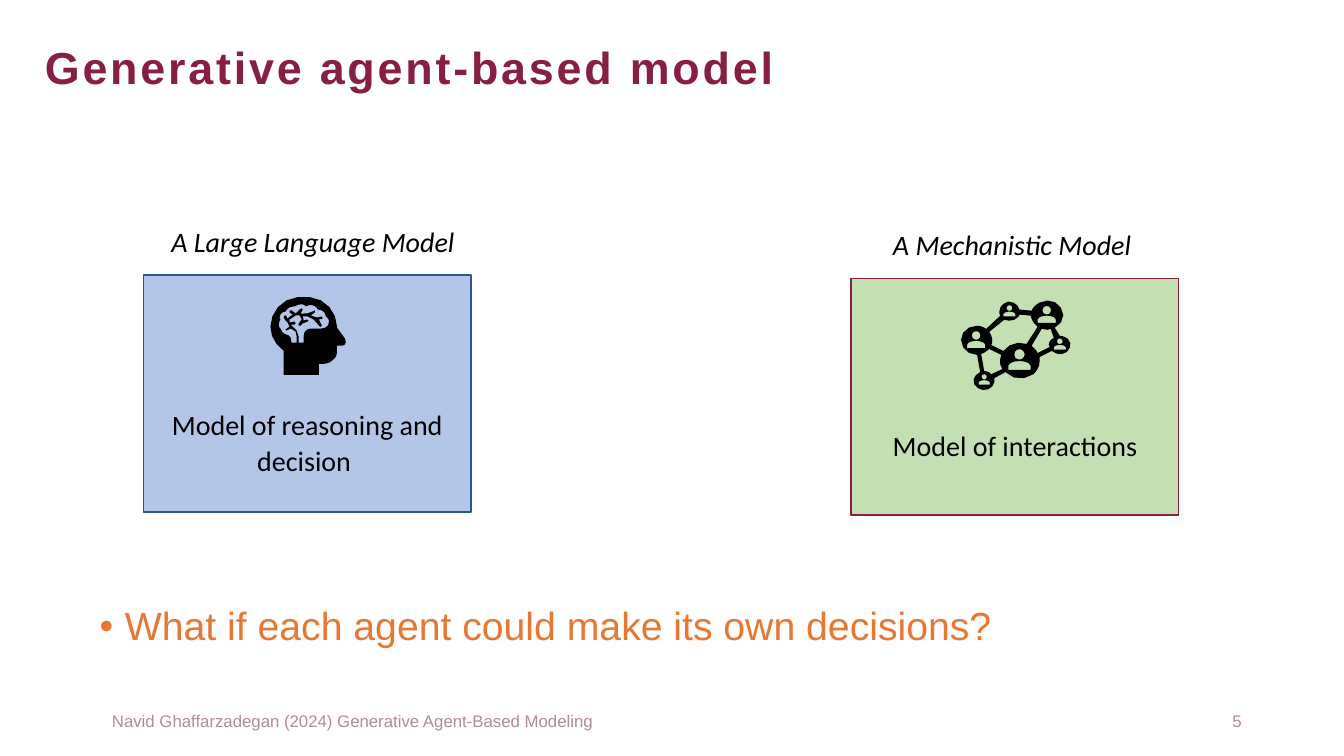
from lxml.etree import SubElement
from pptx import Presentation
from pptx.dml.color import RGBColor
from pptx.enum.shapes import MSO_SHAPE as Shape
from pptx.enum.text import MSO_ANCHOR as Anchor, PP_ALIGN as Align
from pptx.oxml.ns import qn
from pptx.util import Inches, Pt

MAROON, ROSE, ORANGE, BLACK = "861F41", "AF8D93", "E87731", "000000"
BLUE, GREEN, NAVY = "B3C6E7", "C4E0B2", "31538F"

# Boxes are left, top, width, height in percent of the slide.
TEXTS = [
    dict(words="Generative agent-based model", box=(2.6, 5.4, 96.3, 13.87),
         font=dict(size=32, bold=True, color=MAROON), spread=200, spacing=0.9),
    dict(words="Navid Ghaffarzadegan (2024) Generative Agent-Based Modeling",
         box=(6.9, 92.67, 38.7, 5.33), font=dict(size=12, color=ROSE),
         align=Align.CENTER, anchor=Anchor.MIDDLE),
    dict(words="5", box=(70.63, 92.67, 22.5, 5.33), font=dict(size=12, color=ROSE),
         align=Align.RIGHT, anchor=Anchor.MIDDLE),
    dict(words="What if each agent could make its own decisions?",
         box=(6.68, 79.6, 84.98, 15.73), font=dict(size=28, color=ORANGE),
         bullet="•", spacing=0.9),
]
PANEL_SIZE = (24.38, 31.33)
LABEL_RISE, LABEL_SIZE = 7.7, (27.75, 8.53)
PANELS = [
    dict(label="A Mechanistic Model ", label_left=61.67, words="Model of interactions",
         corner=(63.33, 36.83), fill=GREEN, edge=MAROON, icon="network", icon_offset=(1.08, 0.21)),
    dict(label="A Large Language Model ", label_left=9.65, words="Model of reasoning and decision ",
         corner=(10.67, 36.4), fill=BLUE, edge=NAVY, icon="mind", icon_offset=(1.25, 0.21)),
]

# Icon coordinates are hundredths of an inch; six numbers make a Bezier curve.
HEAD = [(75, 42), (67, 31), (67, 30), (67, 20, 61, 9, 51, 4), (40, -1, 28, -1, 17, 4),
        (7, 9, 1, 20, 1, 30), (1, 40, 6, 48, 14, 54), (14, 78), (49, 78), (49, 67), (54, 67),
        (58, 67, 61, 65, 63, 63), (66, 61, 67, 58, 67, 55), (67, 49), (72, 49),
        (75, 49, 77, 46, 75, 42)]
VEINS = [
    (29, 46), (29, 40), (27, 34), (24, 31), (22, 29), (21, 28), (25, 28), (26, 27), (25, 25),
    (20, 26), (20, 23), (26, 19), (30, 19), (32, 23), (29, 27), (29, 29), (31, 29), (33, 27),
    (38, 25), (39, 24), (37, 23), (34, 24), (33, 20), (38, 20), (44, 23), (49, 29), (50, 30),
    (51, 30), (52, 29), (49, 23), (53, 22), (52, 20), (47, 21), (41, 19), (45, 16), (45, 14),
    (43, 15), (38, 18, 31, 17, 31, 17), (33, 13), (32, 12), (30, 13), (26, 17), (22, 14),
    (20, 14), (20, 16), (23, 18), (18, 22), (18, 23), (17, 20), (16, 19), (15, 19), (14, 21),
    (16, 24), (18, 26), (20, 30), (17, 32), (16, 33), (17, 34), (21, 32), (23, 33), (26, 35),
    (27, 40), (27, 46)]
BRAIN = [(51, 32), (41, 32), (37, 32, 34, 35, 34, 39), (34, 46), *VEINS, (22, 46),
         (22, 39, 18, 38, 17, 38), (16, 38, 12, 36, 11, 32), (10, 31), (9, 29, 9, 25, 11, 23),
         (11, 22, 10, 22, 10, 21), (10, 18, 13, 15, 16, 15), (18, 12, 20, 10, 24, 10), (25, 10),
         (27, 9, 29, 8, 31, 8), (33, 8, 35, 8, 36, 10), (38, 9, 41, 8, 43, 9),
         (45, 9, 47, 11, 48, 13), (52, 13, 56, 16, 56, 20), (58, 21, 60, 24, 59, 26),
         (59, 30, 55, 32, 51, 32)]
WEB = [(99, 36), (94, 28), (102, 24, 105, 15, 100, 8), (96, 1, 86, -1, 79, 3),
       (75, 5, 72, 8, 71, 11), (59, 10), (58, 5, 53, 2, 48, 2), (43, 3, 39, 7, 39, 12),
       (39, 13, 39, 15, 40, 16), (26, 29), (23, 27, 20, 26, 17, 26), (8, 26, 1, 32, 1, 40),
       (1, 48, 8, 55, 17, 55), (20, 72), (15, 74, 12, 79, 14, 84), (17, 89, 23, 91, 28, 89),
       (33, 87, 35, 82, 34, 78), (45, 72), (52, 80, 65, 80, 73, 74), (77, 70, 79, 66, 79, 61),
       (79, 57), (91, 51), (95, 55, 102, 55, 106, 52), (110, 48, 111, 43, 107, 39),
       (104, 37, 102, 36, 99, 36)]
GAPS = [
    [(31, 74), (29, 72, 27, 71, 24, 71), (21, 54), (24, 53, 27, 51, 29, 49), (41, 55),
     (39, 59, 39, 65, 42, 69)],
    [(43, 51), (31, 45), (32, 44, 32, 42, 32, 40), (32, 38, 31, 35, 29, 32), (44, 20),
     (48, 22, 55, 21, 58, 17), (59, 15), (70, 16), (71, 20, 73, 24, 77, 27), (66, 44),
     (58, 41, 48, 44, 43, 51)],
    [(88, 45), (89, 47), (77, 53), (76, 50, 73, 48, 71, 46), (81, 29),
     (83, 29, 85, 30, 87, 30), (90, 29), (93, 38), (90, 39, 88, 42, 88, 45)],
]
# Each agent: middle, shoulder height, half width.
AGENTS = [(86, 16, 9), (49, 12, 6), (16, 41, 9), (59, 61, 11), (24, 80, 5.5), (99, 45, 6)]


def agent_outlines(x, y, half):
    """Give the face and the torso of one agent."""
    r, k = 0.47 * half, 0.26 * half
    face_y = y - 0.6 * half
    face = [(x, face_y - r), (x + k, face_y - r, x + r, face_y - k, x + r, face_y),
            (x + r, face_y + k, x + k, face_y + r, x, face_y + r),
            (x - k, face_y + r, x - r, face_y + k, x - r, face_y),
            (x - r, face_y - k, x - k, face_y - r, x, face_y - r)]
    side, foot = y + 0.4 * half, y + 0.8 * half
    torso = [(x - half, foot), (x - half, side),
             (x - 0.9 * half, y + 0.1 * half, x - 0.4 * half, y, x, y),
             (x + 0.4 * half, y, x + 0.9 * half, y + 0.1 * half, x + half, side),
             (x + half, foot)]
    return [face, torso]


ICONS = {
    "mind": [HEAD, BRAIN],
    "network": [WEB, *GAPS, *(part for agent in AGENTS for part in agent_outlines(*agent))],
}

prs = Presentation()
prs.slide_width, prs.slide_height = Inches(13.33), Inches(7.5)
slide = prs.slides.add_slide(prs.slide_layouts[6])
shapes = slide.shapes


def rgb(code):
    return RGBColor.from_string(code)


def place(box):
    sides = (prs.slide_width, prs.slide_height) * 2
    return [round(side * share / 100) for side, share in zip(sides, box)]


def paint(shape, fill, edge=None):
    shape.shadow.inherit = False
    shape.fill.solid()
    shape.fill.fore_color.rgb = rgb(fill)
    if edge:
        shape.line.color.rgb = rgb(edge)
        shape.line.width = Pt(1)
    else:
        shape.line.fill.background()


def write(shape, words, font, align=Align.LEFT, anchor=Anchor.TOP, spacing=1.0,
          after=0, top=0.05, spread=None, bullet=None):
    frame = shape.text_frame
    margins = dict(margin_left=0.1, margin_right=0.1, margin_top=top, margin_bottom=0.05)
    for name, value in margins.items():
        setattr(frame, name, Inches(value))
    frame.word_wrap, frame.vertical_anchor = True, anchor
    para = frame.paragraphs[0]
    layout = dict(alignment=align, line_spacing=spacing, space_after=Pt(after))
    for name, value in layout.items():
        setattr(para, name, value)
    if bullet:
        props = para._p.get_or_add_pPr()
        props.set("marL", str(Inches(0.25)))
        props.set("indent", str(-Inches(0.25)))
        SubElement(props, qn("a:buFont"), typeface="Arial")
        SubElement(props, qn("a:buChar"), char=bullet)
    run = para.add_run()
    run.text = words
    looks = {"name": "Arial", **font}
    run.font.color.rgb = rgb(looks.pop("color"))
    looks["size"] = Pt(looks["size"])
    for name, value in looks.items():
        setattr(run.font, name, value)
    if spread:
        run._r.get_or_add_rPr().set("spc", str(spread))


def flatten(outline, steps=3):
    """Turn lines and cubic curves into a list of points."""
    points = [outline[0]]
    for part in outline[1:]:
        if len(part) == 2:
            points.append(part)
            continue
        knots = [points[-1], part[:2], part[2:4], part[4:]]
        for step in range(1, steps + 1):
            t = step / steps
            weights = ((1 - t) ** 3, 3 * t * (1 - t) ** 2, 3 * t * t * (1 - t), t ** 3)
            points.append(tuple(sum(w * knot[axis] for w, knot in zip(weights, knots))
                                for axis in (0, 1)))
    return points


def draw_icon(outlines, left, top):
    """Draw all outlines as one shape; the inner ones are holes."""
    builder = None
    for outline in outlines:
        start, *rest = [(Inches(x / 100), Inches(y / 100)) for x, y in flatten(outline)]
        if builder:
            builder.move_to(*start)
        else:
            builder = shapes.build_freeform(*start, scale=1.0)
        builder.add_line_segments(rest, close=True)
    paint(builder.convert_to_shape(left, top), BLACK)


BODY = dict(align=Align.CENTER, spacing=1.07, after=8)
CALIBRI = dict(name="Calibri", size=20, color=BLACK)

for item in TEXTS[:-1]:
    style = {key: value for key, value in item.items() if key != "box"}
    write(shapes.add_textbox(*place(item["box"])), **style)

for panel in PANELS:
    left, top = panel["corner"]
    card = shapes.add_shape(Shape.RECTANGLE, *place((left, top, *PANEL_SIZE)))
    paint(card, panel["fill"], panel["edge"])
    write(card, panel["words"], CALIBRI, anchor=Anchor.MIDDLE, top=0.99, **BODY)
    label = shapes.add_textbox(*place((panel["label_left"], top - LABEL_RISE, *LABEL_SIZE)))
    write(label, panel["label"], {**CALIBRI, "italic": True}, **BODY)
    across, down = panel["icon_offset"]
    draw_icon(ICONS[panel["icon"]], card.left + Inches(across), card.top + Inches(down))

question = {key: value for key, value in TEXTS[-1].items() if key != "box"}
write(shapes.add_textbox(*place(TEXTS[-1]["box"])), **question)

prs.save("out.pptx")
